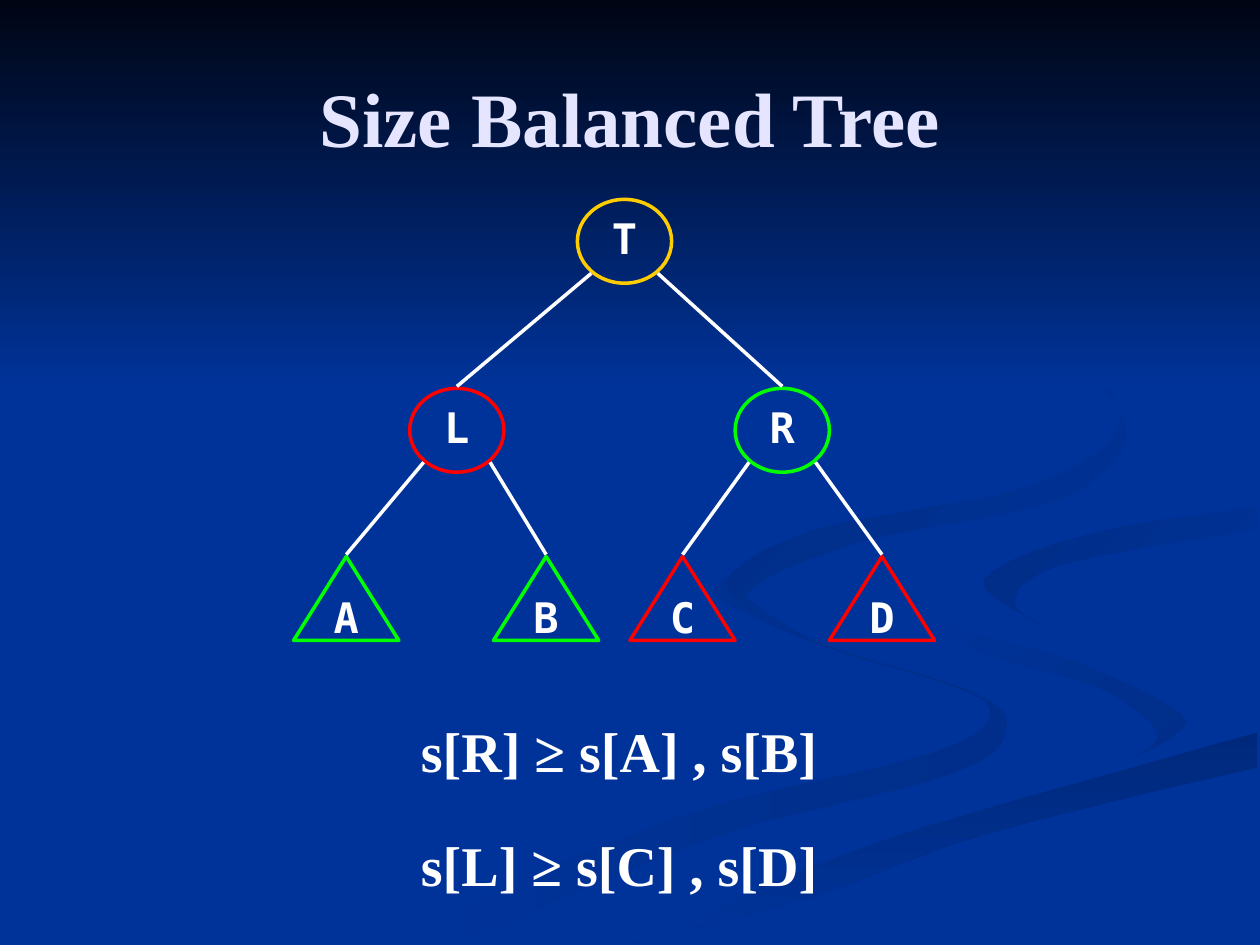
from dataclasses import dataclass

from lxml import etree
from pptx import Presentation
from pptx import util as u
from pptx.dml.color import RGBColor
from pptx.enum import shapes, text
from pptx.oxml.ns import qn

COLORS = {
    "bg": "003399", "night": "000514", "shade": "002E8A", "deep": "00297C",
    "tail": "002C85", "swirl": "002B81", "title": "E5E5FF", "white": "FFFFFF",
    "gold": "FFCC00", "red": "FF0000", "green": "00FF00",
}
SERIF = "Times New Roman"
MONO = "DejaVu Sans Mono"
GRID = u.Cm(0.0254)
CURVE_STEPS = 5
ELLIPSE = shapes.MSO_SHAPE.OVAL
TRIANGLE = shapes.MSO_SHAPE.ISOSCELES_TRIANGLE
NODE_HEIGHT = 1.69
NODE_WIDTH = {ELLIPSE: 1.9, TRIANGLE: 2.12}
EDGE_DX, EDGE_DY, EDGE_GAP = 0.67, 1.49, 0.04

Point = tuple[float, float]


@dataclass
class Ribbon:
    start: str
    end: str
    angle: int
    sides: list[list[Point]]


@dataclass
class Node:
    label: str
    x: float
    top: float
    color: str
    kind: int
    parent: str = ""


RIBBONS = [
    Ribbon("shade", "bg", 180, [
        [(575, 459), (572, 476), (654, 513), (752, 543), (786, 566), (739, 598),
         (539, 649), (300, 749)],
        [(361, 749), (564, 665), (756, 614), (799, 577), (767, 547), (642, 507),
         (575, 459)]]),
    Ribbon("shade", "bg", 225, [
        [(894, 605), (943, 570), (888, 535), (758, 498), (724, 464)],
        [(724, 464), (766, 512), (868, 544), (918, 581), (894, 605)]]),
    Ribbon("deep", "bg", 90, [
        [(503, 749), (649, 710), (785, 661), (998, 609)],
        [(998, 581), (764, 647), (630, 693), (519, 747)]]),
    Ribbon("bg", "bg", 0, [
        [(477, 749), (663, 668), (881, 608), (943, 573), (851, 524), (745, 490),
         (732, 446), (851, 411), (999, 387)],
        [(999, 402), (850, 427), (781, 463), (832, 498), (999, 538)],
        [(999, 581), (765, 647), (630, 693), (519, 747)]]),
    Ribbon("bg", "tail", 225, [
        [(998, 402), (865, 424), (781, 460), (826, 496)],
        [(826, 496), (805, 476), (843, 448), (998, 420)]]),
    Ribbon("bg", "swirl", 225, [
        [(622, 500), (577, 462), (649, 420), (818, 386), (889, 335), (846, 279),
         (762, 233)],
        [(762, 233), (843, 275), (894, 344), (841, 396), (683, 430), (593, 470),
         (622, 500)]]),
]

NODES = [
    Node("T", 12.59, 4.02, "gold", ELLIPSE),
    Node("L", 9.21, 7.83, "red", ELLIPSE, "T"),
    Node("R", 15.77, 7.83, "green", ELLIPSE, "T"),
    Node("A", 6.98, 11.22, "green", TRIANGLE, "L"),
    Node("B", 11.01, 11.22, "green", TRIANGLE, "L"),
    Node("C", 13.76, 11.22, "red", TRIANGLE, "R"),
    Node("D", 17.78, 11.22, "red", TRIANGLE, "R"),
]


def rgb(name: str) -> RGBColor:
    return RGBColor.from_string(COLORS[name])


def smooth_side(side: list[Point]) -> list[Point]:
    padded = [side[0], *side, side[-1]]
    curve = [side[0]]
    for a, b, c, d in zip(padded, padded[1:], padded[2:], padded[3:]):
        for step in range(1, CURVE_STEPS + 1):
            t = step / CURVE_STEPS
            curve.append(tuple(
                h + t * (k - i) / 2 + t * t * (2 * i - 5 * h + 4 * k - m) / 2
                + t ** 3 * (3 * h - i - 3 * k + m) / 2
                for i, h, k, m in zip(a, b, c, d)))
    return curve


def write(p, content: str, *, size: int, font: str, color: str = "white",
          before: int = 0, spacing: float = 1.0) -> None:
    p.alignment = text.PP_ALIGN.CENTER
    p.space_before = u.Pt(before)
    p.line_spacing = spacing
    r = p.add_run()
    r.text = content
    r.font.size = u.Pt(size)
    r.font.name = font
    r.font.bold = True
    r.font.color.rgb = rgb(color)


def place(sp, left: float, top: float, width: float, height: float) -> None:
    sp.left, sp.top = u.Cm(left), u.Cm(top)
    sp.width, sp.height = u.Cm(width), u.Cm(height)


def remove_bullet(p) -> None:
    pPr = p._p.get_or_add_pPr()
    pPr.set("marL", "0")
    pPr.set("indent", "0")
    etree.SubElement(pPr, qn("a:buNone"))


def paint(sp, start: str, end: str, angle: int) -> None:
    sp.shadow.inherit = False
    sp.line.fill.background()
    if start == end:
        sp.fill.solid()
        sp.fill.fore_color.rgb = rgb(start)
        return
    sp.fill.gradient()
    sp.fill.gradient_angle = 360 - angle
    for stop, color in zip(sp.fill.gradient_stops, (start, end)):
        stop.color.rgb = rgb(color)


def draw_ribbon(s, ribbon: Ribbon) -> None:
    points = [pt for side in ribbon.sides for pt in smooth_side(side)]
    fb = s.shapes.build_freeform(*points[0], scale=GRID)
    fb.add_line_segments(points[1:], close=True)
    paint(fb.convert_to_shape(), ribbon.start, ribbon.end, ribbon.angle)


def draw_node(s, node: Node) -> None:
    width = NODE_WIDTH[node.kind]
    sp = s.shapes.add_shape(node.kind, u.Cm(node.x - width / 2), u.Cm(node.top),
                            u.Cm(width), u.Cm(NODE_HEIGHT))
    sp.shadow.inherit = False
    sp.fill.background()
    sp.line.color.rgb = rgb(node.color)
    sp.line.width = u.Pt(2)
    tf = sp.text_frame
    tf.word_wrap = False
    tf.vertical_anchor = text.MSO_ANCHOR.MIDDLE
    write(tf.paragraphs[0], node.label, size=24, font=MONO, spacing=0.9)


def draw_edge(s, parent: Node, child: Node) -> None:
    dx = EDGE_DX if child.x > parent.x else -EDGE_DX
    cx = s.shapes.add_connector(
        shapes.MSO_CONNECTOR.STRAIGHT, u.Cm(parent.x + dx), u.Cm(parent.top + EDGE_DY),
        u.Cm(child.x), u.Cm(child.top - EDGE_GAP))
    cx.line.color.rgb = rgb("white")
    cx.line.width = u.Pt(2)
    etree.SubElement(cx._element.spPr, qn("a:effectLst"))


def main() -> None:
    prs = Presentation()
    prs.slide_width, prs.slide_height = u.Cm(25.4), u.Cm(19.05)
    s = prs.slides.add_slide(prs.slide_layouts[1])
    s.background.fill.solid()
    s.background.fill.fore_color.rgb = rgb("bg")
    for ribbon in RIBBONS:
        draw_ribbon(s, ribbon)
    sky = s.shapes.add_shape(shapes.MSO_SHAPE.RECTANGLE, 0, 0, prs.slide_width, u.Cm(7.82))
    paint(sky, "night", "bg", 90)

    title, body = s.shapes.title, s.placeholders[1]
    for sp in (title, body):
        s.shapes.element.append(sp.element)
    place(title, 1.27, 0.76, 22.86, 3.18)
    title.text_frame.vertical_anchor = text.MSO_ANCHOR.MIDDLE
    write(title.text_frame.paragraphs[0], "Size Balanced Tree", size=44, font=SERIF, color="title")

    place(body, 0.84, 14.17, 23.29, 4.24)
    tf = body.text_frame
    tf.margin_top = u.Cm(0.27)
    for i, rule in enumerate(("s[R] ≥ s[A] , s[B]", "s[L] ≥ s[C] , s[D]")):
        p = tf.add_paragraph() if i else tf.paragraphs[0]
        remove_bullet(p)
        write(p, rule, size=32, font=SERIF, before=27 if i else 0)

    by_label = {node.label: node for node in NODES}
    for node in NODES:
        draw_node(s, node)
        if node.parent:
            draw_edge(s, by_label[node.parent], node)
    prs.save("out.pptx")


if __name__ == "__main__":
    main()
